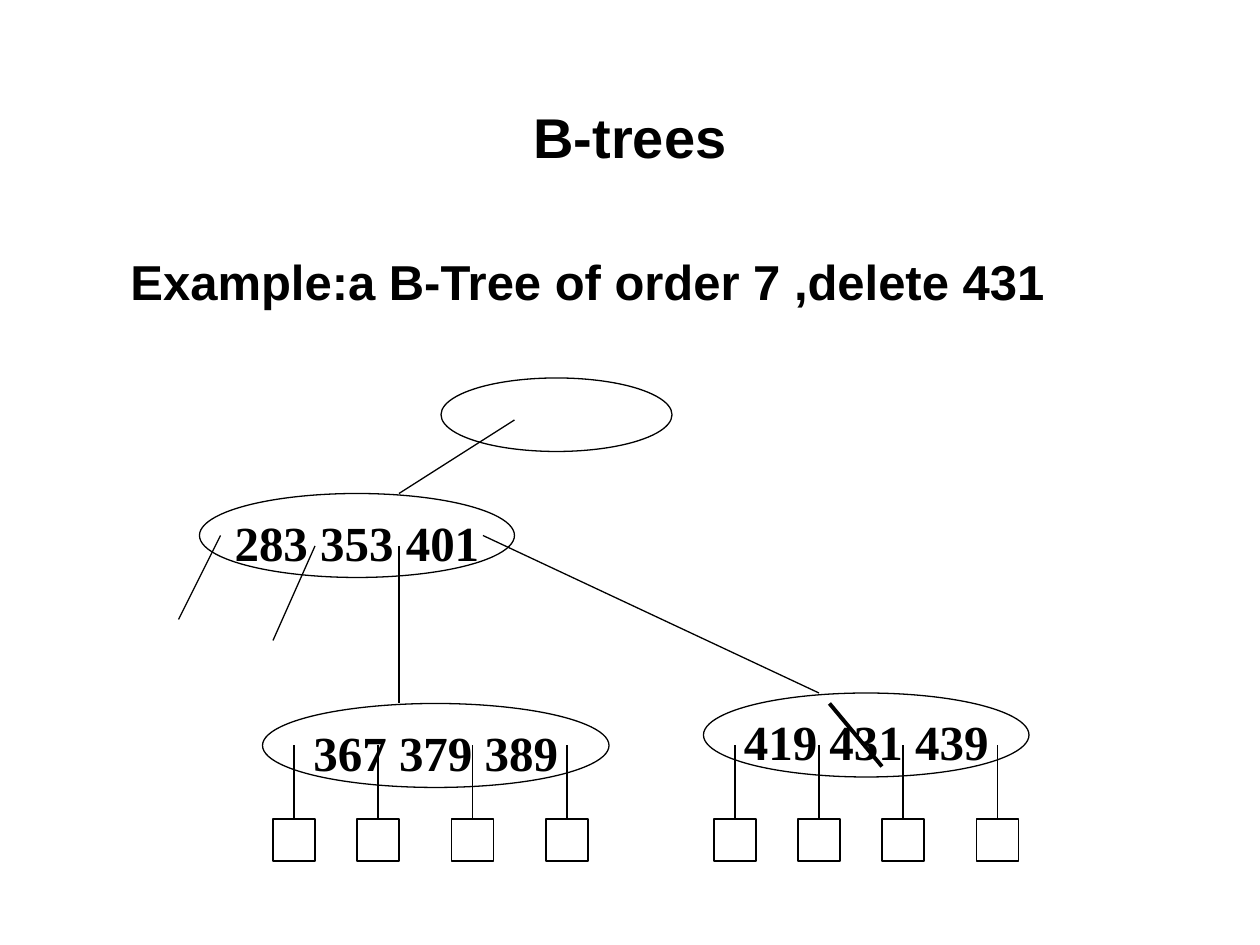
from dataclasses import dataclass
from lxml import etree
from pptx import Presentation
from pptx.dml.color import RGBColor
from pptx.enum.shapes import MSO_CONNECTOR, MSO_SHAPE
from pptx.enum.text import MSO_ANCHOR, PP_ALIGN
from pptx.oxml.ns import qn
from pptx.util import Pt

OVAL, RECT = MSO_SHAPE.OVAL, MSO_SHAPE.RECTANGLE
LINE = MSO_CONNECTOR.STRAIGHT
LEFT, CENTER = PP_ALIGN.LEFT, PP_ALIGN.CENTER
TOP, MIDDLE = MSO_ANCHOR.TOP, MSO_ANCHOR.MIDDLE
PX = 9525  # 96 px to the inch


@dataclass
class Theme:
    ink: RGBColor = RGBColor(0, 0, 0)
    head: str = "Arial"
    keys: str = "Times New Roman"
    title: int = 32
    body: int = 28
    thin: float = 0.75
    thick: float = 2.25


theme = Theme()


def write(shape, text, size, face, align, anchor):
    frame = shape.text_frame
    frame.vertical_anchor = anchor
    para = frame.paragraphs[0]
    para.text = text
    para.alignment = align
    font = para.font
    font.size, font.name, font.bold = Pt(size), face, True
    font.color.rgb = theme.ink
    return frame


def link(x1, y1, x2, y2, width=theme.thin):
    line = tree.add_connector(LINE, x1 * PX, y1 * PX, x2 * PX, y2 * PX)
    line.line.color.rgb = theme.ink
    line.line.width = Pt(width)
    etree.SubElement(line._element.spPr, qn("a:effectLst"))
    return line


deck = Presentation()
deck.slide_width, deck.slide_height = 960 * PX, 720 * PX
slide = deck.slides.add_slide(deck.slide_layouts[6])

# Title and example
for text, x, y, w, h, size, align, anchor in [
    ("B-trees", 72, 64, 816, 80, theme.title, CENTER, MIDDLE),
    ("Example:a B-Tree of order 7 ,delete 431", 90, 187, 798, 60,
     theme.body, LEFT, TOP),
]:
    box = slide.shapes.add_textbox(x * PX, y * PX, w * PX, h * PX)
    write(box, text, size, theme.head, align, anchor).word_wrap = True

# Nodes
tree = slide.shapes.add_group_shape().shapes
for keys, x, y, w, h in [
    ("", 336, 288, 176, 56),
    ("283 353 401", 152, 376, 240, 64),
    ("367 379 389", 200, 536, 264, 64),
    ("419 431 439", 536, 528, 248, 64),
]:
    node = tree.add_shape(OVAL, x * PX, y * PX, w * PX, h * PX)
    node.shadow.inherit = False
    node.fill.background()
    node.line.color.rgb = theme.ink
    node.line.width = Pt(theme.thin)
    if keys:
        frame = write(node, keys, theme.body, theme.keys, CENTER, MIDDLE)
        frame.word_wrap = False
        frame.margin_top = 14 * PX

# Branches between nodes
for ends in [
    (392, 320, 304, 376),
    (168, 408, 136, 472),
    (240, 416, 208, 488),
    (304, 416, 304, 536),
    (368, 408, 624, 528),
]:
    link(*ends)

# Empty leaves, each hung by the middle of its top side
SIDE = 32
for x in (224, 288, 360, 432, 560, 624, 688, 760):
    leaf = tree.add_shape(RECT, (x - SIDE // 2) * PX, 624 * PX,
                          SIDE * PX, SIDE * PX)
    leaf.shadow.inherit = False
    leaf.fill.background()
    leaf.line.color.rgb = theme.ink
    leaf.line.width = Pt(theme.thin)
    link(x, 568, x, 624).end_connect(leaf, 0)

# Strike through the deleted key
link(632, 536, 672, 584, theme.thick)

deck.save("out.pptx")
